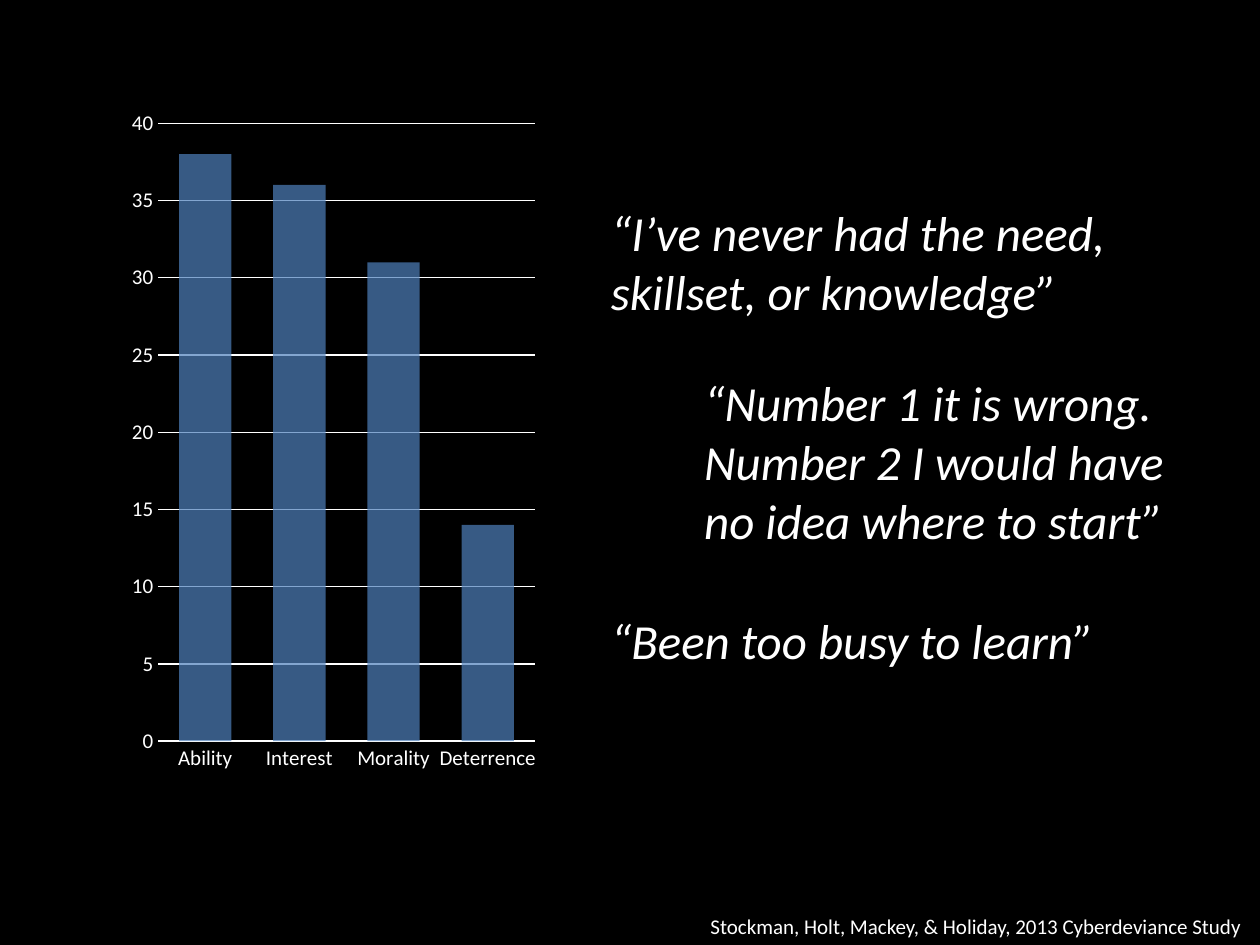
from lxml import etree
from pptx import Presentation, util as u
from pptx.chart.data import CategoryChartData
from pptx.dml.color import RGBColor
from pptx.enum import chart as ch, text
from pptx.oxml.ns import qn

WHITE = "FFFFFF"


def paint(fill, color):
    fill.solid()
    fill.fore_color.rgb = RGBColor.from_string(color)


def style(font, size, italic=False):
    font.name = "Calibri"
    font.size = u.Pt(size)
    font.italic = italic
    paint(font.fill, WHITE)


prs = Presentation()
prs.slide_width, prs.slide_height = u.Inches(10), u.Inches(7.5)
s = prs.slides.add_slide(prs.slide_layouts[6])
paint(s.background.fill, "000000")

# Chart of reasons
data = CategoryChartData()
data.categories = ["Ability", "Interest", "Morality", "Deterrence"]
data.add_series("Series 1", [38, 36, 31, 14])
chart = s.shapes.add_chart(
    ch.XL_CHART_TYPE.COLUMN_CLUSTERED,
    u.Inches(0.98), u.Inches(0.77), u.Inches(3.34), u.Inches(5.46), data,
).chart
chart.has_legend = False
chart.has_title = False
style(chart.font, 10)

plot = chart.plots[0]
plot.gap_width, plot.overlap = 80, 25
plot.vary_by_categories = False
bars = plot.series[0].format.fill
paint(bars, "4F81BD")
color = plot.series[0].format.fill._xPr.find(".//" + qn("a:srgbClr"))
etree.SubElement(color, qn("a:alpha"), val="70000")

cat, val = chart.category_axis, chart.value_axis
for axis in (cat, val):
    axis.major_tick_mark = axis.minor_tick_mark = ch.XL_TICK_MARK.NONE
    style(axis.tick_labels.font, 12)
paint(cat.format.line.fill, WHITE)
cat.format.line.width = u.Pt(1.25)
val.format.line.fill.background()
val.minimum_scale, val.maximum_scale, val.major_unit = 0, 40, 5
val.has_major_gridlines = True
grid = val.major_gridlines.format.line
paint(grid.fill, WHITE)
grid.width = u.Pt(0.75)

# Quotes and source line: words, left, top, width, height, size, italic, wrap
texts = [
    ("“I’ve never had the need, skillset, or knowledge”", 4.75, 1.56, 4.15, 1.04, 28, True, True),
    ("“Number 1 it is wrong. Number 2 I would have no idea where to start”",
     5.49, 2.91, 4.15, 1.51, 28, True, True),
    ("“Been too busy to learn”", 4.75, 4.8, 4.15, 0.57, 28, True, True),
    ("Stockman, Holt, Mackey, & Holiday, 2013 Cyberdeviance Study",
     5.54, 7.2, 4.46, 0.3, 12, False, False),
]
for words, left, top, width, height, size, italic, wrap in texts:
    box = s.shapes.add_textbox(*map(u.Inches, (left, top, width, height)))
    tf = box.text_frame
    tf.text = words
    tf.word_wrap = wrap
    tf.auto_size = text.MSO_AUTO_SIZE.SHAPE_TO_FIT_TEXT
    style(tf.paragraphs[0].runs[0].font, size, italic)

prs.save("out.pptx")
